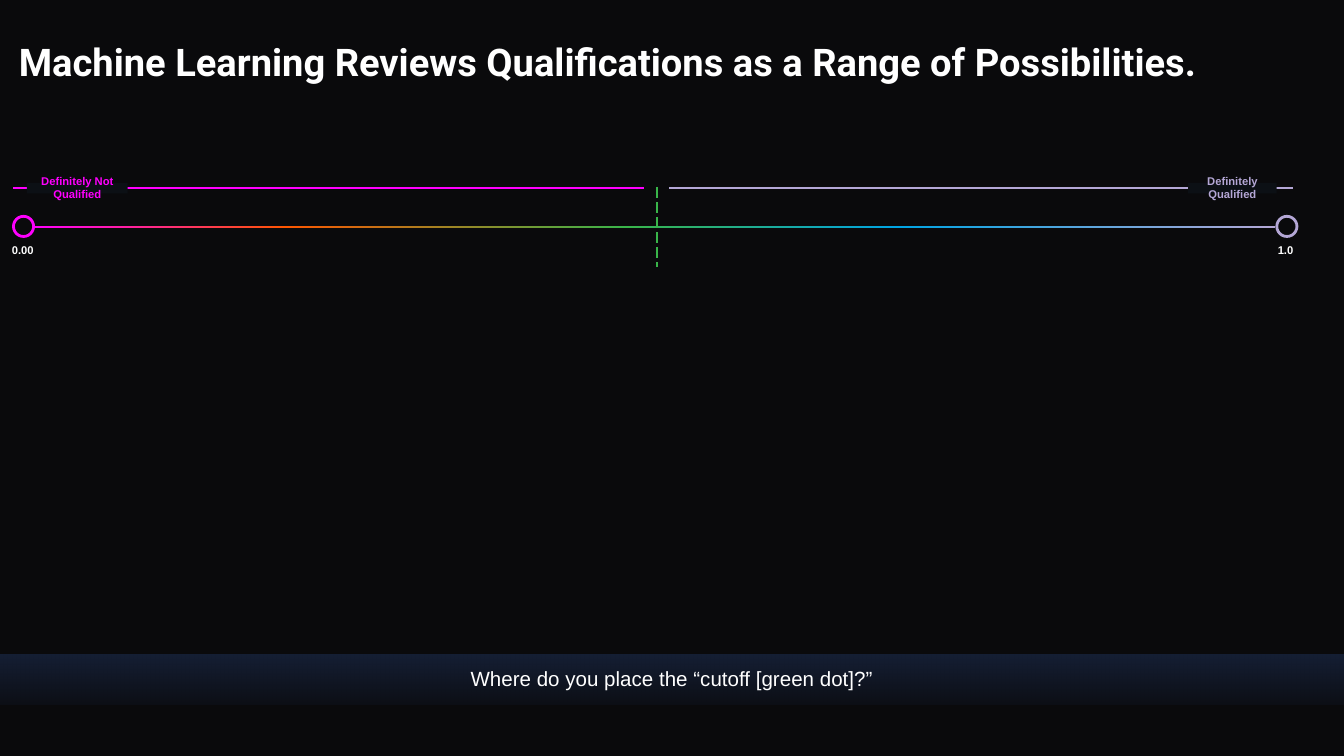
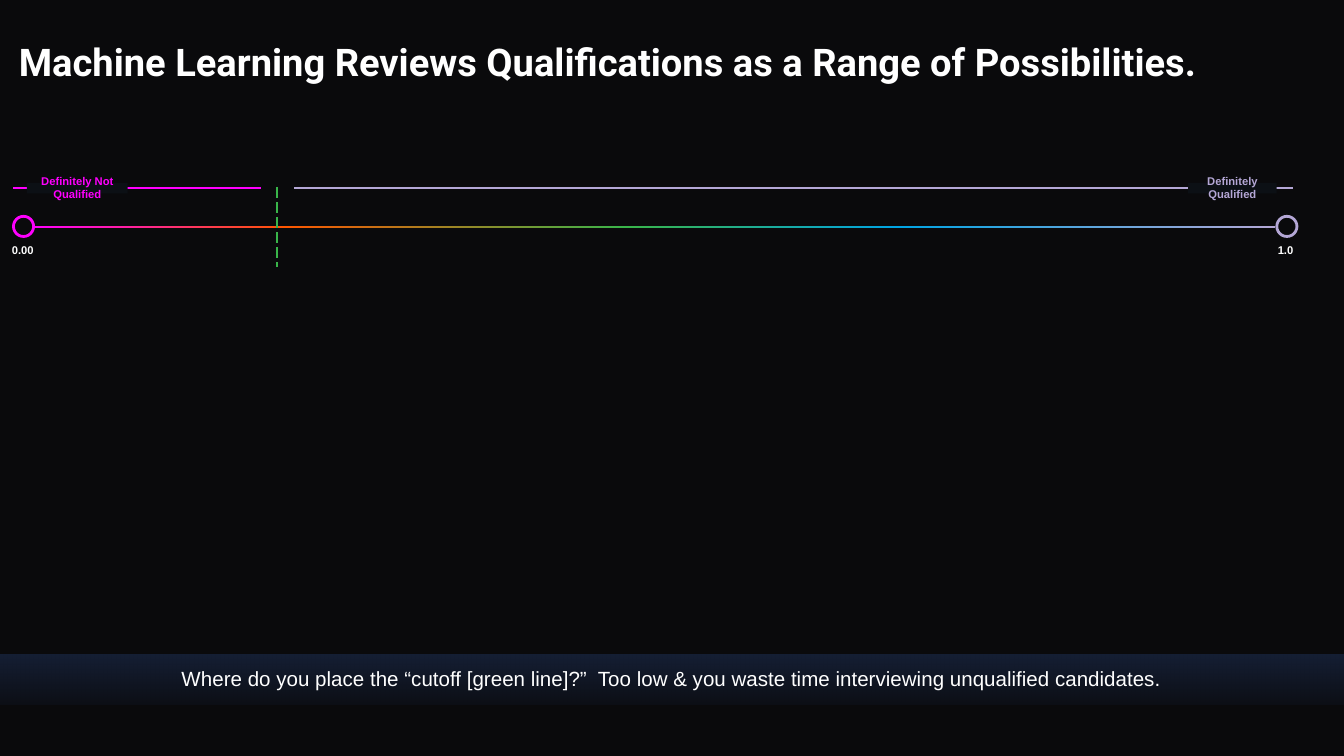
import pptx
import pptx.dml.color
import pptx.enum.dml
import pptx.enum.shapes
import pptx.enum.text
import pptx.oxml.ns
import pptx.util
from lxml import etree

Inches = pptx.util.Inches
Pt = pptx.util.Pt
SHAPE = pptx.enum.shapes.MSO_SHAPE
ALIGN = pptx.enum.text.PP_ALIGN
ANCHOR = pptx.enum.text.MSO_ANCHOR
AUTO = pptx.enum.text.MSO_AUTO_SIZE
qn = pptx.oxml.ns.qn

TITLE = "Machine Learning Reviews Qualifications as a Range of Possibilities."
SLIDES = [
    {"question": "Where do you place the “cutoff [green dot]?”",
     "cutoff": 4.89, "low_end": 4.79, "high_start": 4.98},
    {"question": "Where do you place the “cutoff [green line]?”  Too low & you waste "
                 "time interviewing unqualified candidates.",
     "cutoff": 2.06, "low_end": 1.94, "high_start": 2.19},
]
COLORS = {
    "background": "0A0A0C", "plate": "0C1015", "band": "1A2846", "text": "FFFFFF",
    "low": "FF00FF", "warm": "FF5600", "cutoff": "39B54A", "cool": "00A4E4", "high": "B4A7D6",
}
ENDS = [
    {"label": "Definitely Qualified", "color": "high", "label_x": 8.84, "label_w": 0.66,
     "value": "1.0", "value_x": 9.26, "value_w": 0.61, "dot_x": 9.5},
    {"label": "Definitely Not Qualified", "color": "low", "label_x": 0.2, "label_w": 0.75,
     "value": "0.00", "value_x": -0.11, "value_w": 0.56, "dot_x": 0.1},
]
SCALE_Y = 1.69
SCALE_H = 0.02
SCALE = [
    (1.2, 1.89, 270, "low", "warm"),
    (3.38, 2.57, 90, "cutoff", "warm"),
    (5.67, 2.01, 270, "cutoff", "cool"),
    (8.08, 2.81, 270, "cool", "high"),
]
RANGE_LEFT, RANGE_RIGHT, RANGE_Y = 0.1, 9.62, 1.4


def rgb(name):
    return pptx.dml.color.RGBColor.from_string(COLORS[name])


def add_shape(slide, kind, x, y, w, h, fill=None, line=None):
    sp = slide.shapes.add_shape(kind, Inches(x), Inches(y), Inches(w), Inches(h))
    sp.shadow.inherit = False
    if fill:
        sp.fill.solid()
        sp.fill.fore_color.rgb = rgb(fill)
    if line:
        sp.line.color.rgb = rgb(line)
        sp.line.width = Pt(1.5)
    else:
        sp.line.fill.background()
    return sp


def set_gradient(sp, first, last, alphas=()):
    sp.fill.gradient()
    sp.fill.gradient_angle = 270
    stops = sp.fill.gradient_stops
    for stop, position, name in zip(stops, (0, 1), (first, last)):
        stop.position = position
        stop.color.rgb = rgb(name)
    for color, alpha in zip(sp._element.spPr.iter(qn("a:srgbClr")), alphas):
        etree.SubElement(color, qn("a:alpha")).set("val", str(alpha * 1000))


def add_text(slide, text, x, y, w, h, size, color="text", font="Arial", bold=True,
             inset=0.0, align=ALIGN.CENTER, anchor=ANCHOR.MIDDLE, grow=True):
    sp = slide.shapes.add_textbox(Inches(x), Inches(y), Inches(w), Inches(h))
    tf = sp.text_frame
    tf.word_wrap = True
    tf.auto_size = AUTO.SHAPE_TO_FIT_TEXT if grow else AUTO.NONE
    tf.vertical_anchor = anchor
    tf.margin_left = tf.margin_right = tf.margin_top = tf.margin_bottom = Inches(inset)
    p = tf.paragraphs[0]
    p.text = text
    p.alignment = align
    p.font.name = font
    p.font.size = Pt(size)
    p.font.bold = bold
    p.font.color.rgb = rgb(color)
    return p


def add_line(slide, x1, y1, x2, y2, color):
    line = slide.shapes.add_connector(
        pptx.enum.shapes.MSO_CONNECTOR.STRAIGHT, Inches(x1), Inches(y1), Inches(x2), Inches(y2))
    line.line.color.rgb = rgb(color)
    line.line.width = Pt(0.75)
    etree.SubElement(line._element.spPr, qn("a:effectLst"))
    return line


def add_scale(slide):
    for center, length, rotation, first, last in SCALE:
        sp = add_shape(slide, SHAPE.RECTANGLE, center - SCALE_H / 2,
                       SCALE_Y - length / 2, SCALE_H, length)
        sp.rotation = rotation
        set_gradient(sp, first, last)


def add_end(slide, end):
    x, w, color = end["label_x"], end["label_w"], end["color"]
    add_shape(slide, SHAPE.RECTANGLE, x, 1.36, w, 0.08, "plate")
    add_text(slide, end["label"], x, 1.3, w, 0.19, 6, color)
    add_text(slide, end["value"], end["value_x"], 1.76, end["value_w"], 0.19, 6,
             inset=0.05, anchor=ANCHOR.TOP)
    add_shape(slide, SHAPE.OVAL, end["dot_x"], 1.61, 0.15, 0.15, "background", color)


def add_question(slide, text):
    band = add_shape(slide, SHAPE.RECTANGLE, 0, 4.87, 10, 0.37)
    set_gradient(band, "band", "band", (70, 15))
    add_text(slide, text, 0, 4.86, 10, 0.38, 11, bold=False, inset=0.1)


def build_slide(prs, content):
    slide = prs.slides.add_slide(prs.slide_layouts[6])
    slide.background.fill.solid()
    slide.background.fill.fore_color.rgb = rgb("background")
    p = add_text(slide, TITLE, 0.1, 0.15, 9.39, 0.65, 20.4, font="Roboto", inset=0.04,
                 align=ALIGN.LEFT, grow=False)
    p.line_spacing = 0.9
    add_line(slide, content["high_start"], RANGE_Y, RANGE_RIGHT, RANGE_Y, "high")
    add_line(slide, RANGE_LEFT, RANGE_Y, content["low_end"], RANGE_Y, "low")
    for end in ENDS:
        add_end(slide, end)
    add_scale(slide)
    cutoff = add_line(slide, content["cutoff"], 1.39, content["cutoff"], 1.99, "cutoff")
    cutoff.line.dash_style = pptx.enum.dml.MSO_LINE.LONG_DASH
    add_question(slide, content["question"])


def main():
    prs = pptx.Presentation()
    prs.slide_width = Inches(10)
    prs.slide_height = prs.slide_width * 9 // 16
    for content in SLIDES:
        build_slide(prs, content)
    prs.save("out.pptx")


if __name__ == "__main__":
    main()
